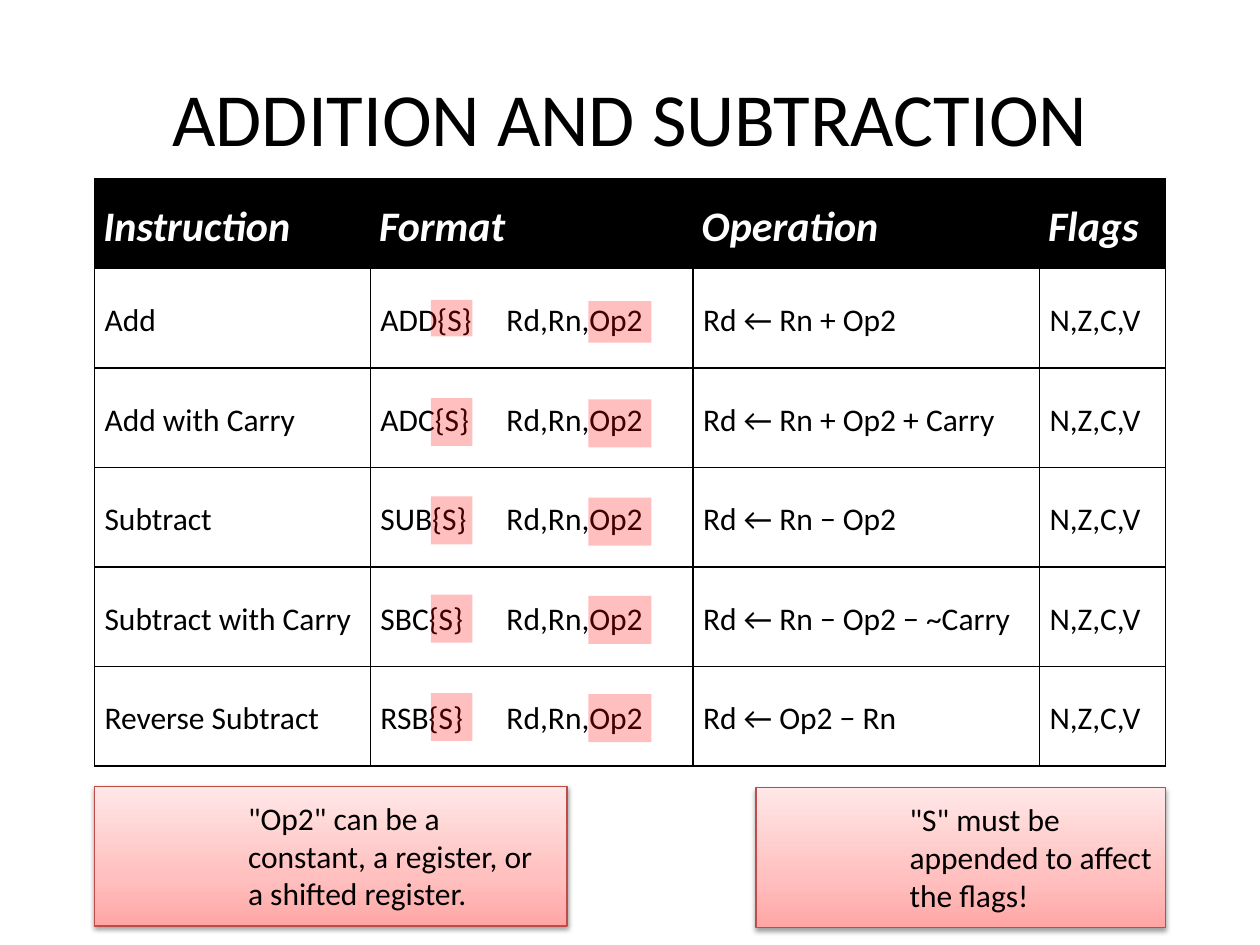
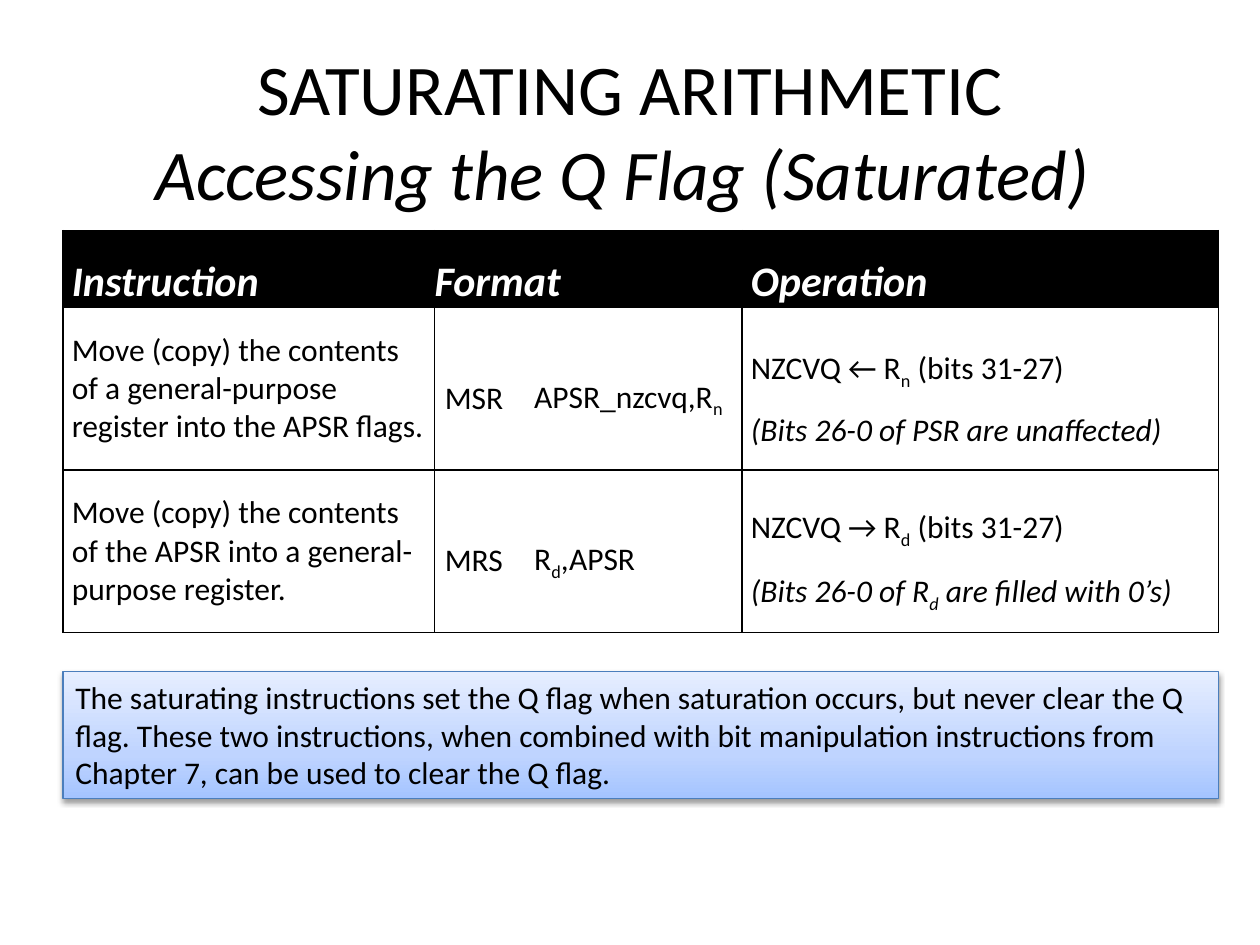
import lxml.etree
import pptx
import pptx.dml.color
import pptx.enum.dml
import pptx.enum.shapes
import pptx.enum.text
import pptx.oxml.ns
import pptx.util

COLORS = {"ink": "000000", "paper": "FFFFFF", "mark": "FF0000"}
NOTES = {
    "red": ("BF4C48", ("FFA6A5", "FFC0BF", "FFE7E7")),
    "blue": ("4B7EBC", ("A4C4FF", "BFD4FF", "E6EEFF")),
}
FONT = "Calibri"
ANCHOR = pptx.enum.text.MSO_ANCHOR


def rgb(name):
    """Return the colour for a palette key or a hex string."""
    return pptx.dml.color.RGBColor.from_string(COLORS.get(name, name))


def add_xml(parent, tag, **attrs):
    """Append a drawing element with the given attributes."""
    el = lxml.etree.SubElement(parent, pptx.oxml.ns.qn("a:" + tag))
    for key, value in attrs.items():
        el.set(key, str(value))
    return el


def write(tf, text, size=18, color="ink", bold=False, italic=False,
          align=None, spacing=None, indent=None, tab=None):
    """Fill a frame: a line led by '/' is italic, odd '|' parts are subscripts."""
    for i, line in enumerate(text.split("\n")):
        p = tf.add_paragraph() if i else tf.paragraphs[0]
        p.alignment = align
        if spacing:
            p.line_spacing = spacing
        pPr = p._p.get_or_add_pPr()
        if indent:
            p.level = 1
            pPr.set("marL", str(pptx.util.Inches(indent)))
            pPr.set("indent", "0")
        if tab and "\t" in line:
            add_xml(add_xml(pPr, "tabLst"), "tab",
                    pos=pptx.util.Inches(tab), algn="l")
        for j, part in enumerate(line.removeprefix("/").split("|")):
            r = p.add_run()
            r.text = part
            r.font.name = FONT
            r.font.size = pptx.util.Pt(size)
            r.font.bold = bold
            r.font.italic = italic or line.startswith("/")
            r.font.color.rgb = rgb(color)
            if j % 2:
                r._r.get_or_add_rPr().set("baseline", "-25000")


class Deck:
    """Holds the shared style, a 40 by 30 grid and the current slide."""

    def __init__(self):
        """Start an empty 10 by 7.5 inch presentation."""
        self.prs = pptx.Presentation()
        self.prs.slide_width = pptx.util.Inches(10)
        self.prs.slide_height = pptx.util.Inches(7.5)
        self.unit = self.prs.slide_width / 40

    def grid(self, *cells):
        """Turn grid cells into lengths."""
        return [pptx.util.Emu(round(c * self.unit)) for c in cells]

    def slide(self, title, size, anchor):
        """Add a slide and set its title."""
        self.current = self.prs.slides.add_slide(self.prs.slide_layouts[5])
        sp = self.current.shapes.title
        sp.left, sp.top, sp.width, sp.height = self.grid(2, 1.2, 36, 5)
        tf = sp.text_frame
        tf.auto_size = pptx.enum.text.MSO_AUTO_SIZE.NONE
        tf.vertical_anchor = anchor
        write(tf, title, size=size, align=pptx.enum.text.PP_ALIGN.CENTER)

    def rect(self, x, y, w, h):
        """Add a plain rectangle without line or shadow."""
        sp = self.current.shapes.add_shape(
            pptx.enum.shapes.MSO_SHAPE.RECTANGLE, *self.grid(x, y, w, h))
        sp.shadow.inherit = False
        sp.line.fill.background()
        return sp

    def highlight(self, x, y, w, h):
        """Add a translucent marker."""
        sp = self.rect(x, y, w, h)
        sp.fill.solid()
        sp.fill.fore_color.rgb = rgb("mark")
        clr = sp._element.spPr.find(".//" + pptx.oxml.ns.qn("a:srgbClr"))
        add_xml(clr, "alpha", val=25000)

    def note(self, x, y, w, h, text, kind, inset=0.05, indent=None):
        """Add a shaded note with a soft shadow."""
        line, stops = NOTES[kind]
        sp = self.rect(x, y, w, h)
        sp.fill.gradient()
        sp.fill.gradient_angle = 90
        spPr = sp._element.spPr
        gs_list = spPr.find(".//" + pptx.oxml.ns.qn("a:gsLst"))
        gs_list.clear()
        for pos, color in zip((0, 35000, 100000), stops):
            add_xml(add_xml(gs_list, "gs", pos=pos), "srgbClr", val=color)
        sp.line.color.rgb = rgb(line)
        sp.line.width = pptx.util.Pt(0.75)
        effects = spPr.find(pptx.oxml.ns.qn("a:effectLst"))
        shadow = add_xml(effects, "outerShdw", blurRad=pptx.util.Pt(3.1),
                         dist=pptx.util.Pt(1.6), dir=5400000, rotWithShape=0)
        add_xml(add_xml(shadow, "srgbClr", val=COLORS["ink"]), "alpha", val=38000)
        tf = sp.text_frame
        tf.word_wrap = True
        tf.auto_size = pptx.enum.text.MSO_AUTO_SIZE.SHAPE_TO_FIT_TEXT
        tf.vertical_anchor = ANCHOR.TOP
        tf.margin_top = tf.margin_bottom = pptx.util.Inches(inset)
        tf.margin_left = tf.margin_right = pptx.util.Inches(max(inset, 0.1))
        write(tf, text, indent=indent, align=pptx.enum.text.PP_ALIGN.LEFT)

    def cell(self, cell, text, sides, insets, anchor, fill=None, **fmt):
        """Format one table cell."""
        tcPr = cell._tc.get_or_add_tcPr()
        for side in "LRTB":
            ln = add_xml(tcPr, "ln" + side, w=pptx.util.Pt(1))
            if side in sides:
                add_xml(add_xml(ln, "solidFill"), "srgbClr", val=COLORS["ink"])
            else:
                add_xml(ln, "noFill")
        if fill:
            cell.fill.solid()
            cell.fill.fore_color.rgb = rgb(fill)
        else:
            cell.fill.background()
        cell.vertical_anchor = anchor
        (cell.margin_left, cell.margin_right, cell.margin_top,
         cell.margin_bottom) = map(pptx.util.Inches, insets)
        if text:
            write(cell.text_frame, text, **fmt)

    def table(self, x, y, columns, heights, data, head_anchor, head_spacing,
              merged=None):
        """Add a table; columns are (width, left inset, right inset, spacing)."""
        widths = [c[0] for c in columns]
        tbl = self.current.shapes.add_table(
            len(data), len(columns),
            *self.grid(x, y, sum(widths), sum(heights))).table
        tbl.first_row = tbl.horz_banding = False
        for col, width in zip(tbl.columns, self.grid(*widths)):
            col.width = width
        for row, height in zip(tbl.rows, self.grid(*heights)):
            row.height = height
        for i, row in enumerate(data):
            for j, text in enumerate(row):
                _, left, right, spacing = columns[j]
                if i == 0:
                    pad = 0 if j == merged else 0.07
                    self.cell(tbl.cell(i, j), text, "LRTB", (pad, pad, 0, 0),
                              head_anchor, fill="ink", size=24, color="paper",
                              bold=True, italic=True, spacing=head_spacing)
                else:
                    sides = "LTB" if j == merged else "LRTB"
                    if merged is not None and j == merged + 1:
                        sides = "RTB"
                    self.cell(tbl.cell(i, j), text, sides,
                              (left, right, 0.04, 0.04), ANCHOR.MIDDLE,
                              spacing=spacing, tab=1)
        if merged is not None:
            tbl.cell(0, merged).merge(tbl.cell(0, merged + 1))


def addition_slide(deck):
    """Build the addition and subtraction slide."""
    operations = [
        ("Add", "ADD", "Rn + Op2"),
        ("Add with Carry", "ADC", "Rn + Op2 + Carry"),
        ("Subtract", "SUB", "Rn − Op2"),
        ("Subtract with Carry", "SBC", "Rn − Op2 − ~Carry"),
        ("Reverse Subtract", "RSB", "Op2 − Rn"),
    ]
    data = [("Instruction", "Format", "Operation", "Flags")]
    data += [(name, code + "{S}\tRd,Rn,Op2", "Rd ← " + result, "N,Z,C,V")
             for name, code, result in operations]
    columns = [(w, 0.08, 0.08, 1.15) for w in (8.76, 10.24, 11, 4)]
    deck.slide("ADDITION AND SUBTRACTION", 42.9, ANCHOR.MIDDLE)
    deck.table(3, 5.68, columns, [2.84] + [3.16] * 5, data, ANCHOR.MIDDLE, 1.15)
    deck.note(24, 25, 13, 4.44, '"S" must be appended to affect the flags!',
              "red", inset=0.1, indent=1.12)
    deck.note(3, 24.96, 15, 4.44,
              '"Op2" can be a constant, a register, or a shifted register.',
              "red", inset=0.1, indent=1.12)
    for x, y, w, first in ((18.68, 9.56, 2, 1.32), (13.68, 9.52, 1.32, 1.16)):
        for i in range(len(operations)):
            deck.highlight(x, y + 3.12 * i, w, 1.52 if i else first)


def saturating_slide(deck):
    """Build the saturating arithmetic slide."""
    data = [
        ("Instruction", "Format", "", "Operation"),
        ("Move (copy) the contents of a general-purpose register into the "
         "APSR flags.", "MSR", "APSR_nzcvq,R|n",
         "NZCVQ ← R|n| (bits 31-27)\n/(Bits 26-0 of PSR are unaffected)"),
        ("Move (copy) the contents of the APSR into a general-purpose "
         "register.", "MRS", "R|d|,APSR",
         "NZCVQ → R|d| (bits 31-27)\n/(Bits 26-0 of R|d| are filled with 0’s)"),
    ]
    columns = [(11.8, 0.07, 0.07, 1.0), (3.16, 0.08, 0, 1.5),
               (6.6, 0, 0.04, 1.5), (15.12, 0.07, 0.07, 1.5)]
    deck.slide("SATURATING ARITHMETIC\n/Accessing the Q Flag (Saturated) ",
               40.7, ANCHOR.TOP)
    deck.table(2, 7.32, columns, [2.44, 5.16, 5.16], data, ANCHOR.TOP, 1.5,
               merged=1)
    deck.note(2, 21.32, 36.68, 4.04,
              "The saturating instructions set the Q flag when saturation "
              "occurs, but never clear the Q flag. These two instructions, "
              "when combined with bit manipulation instructions from "
              "Chapter 7, can be used to clear the Q flag.", "blue")


deck = Deck()
addition_slide(deck)
saturating_slide(deck)
deck.prs.save("out.pptx")
